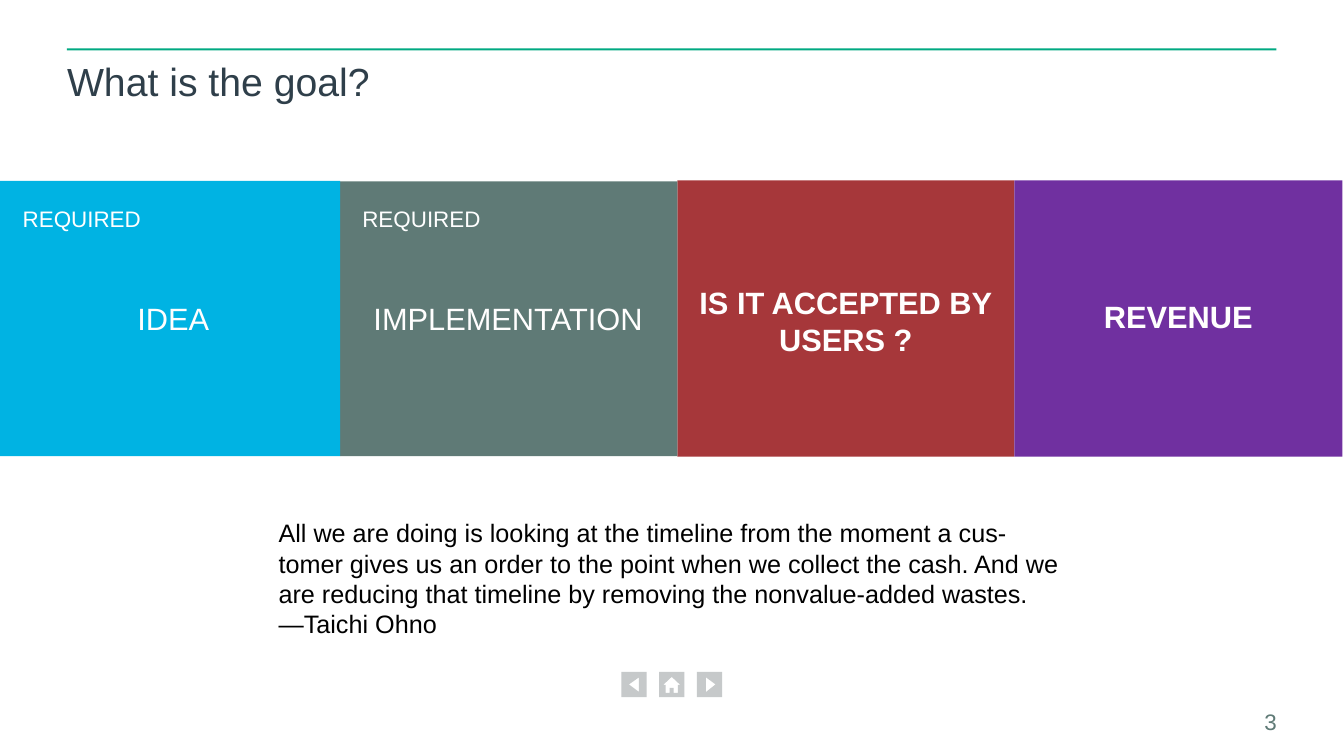
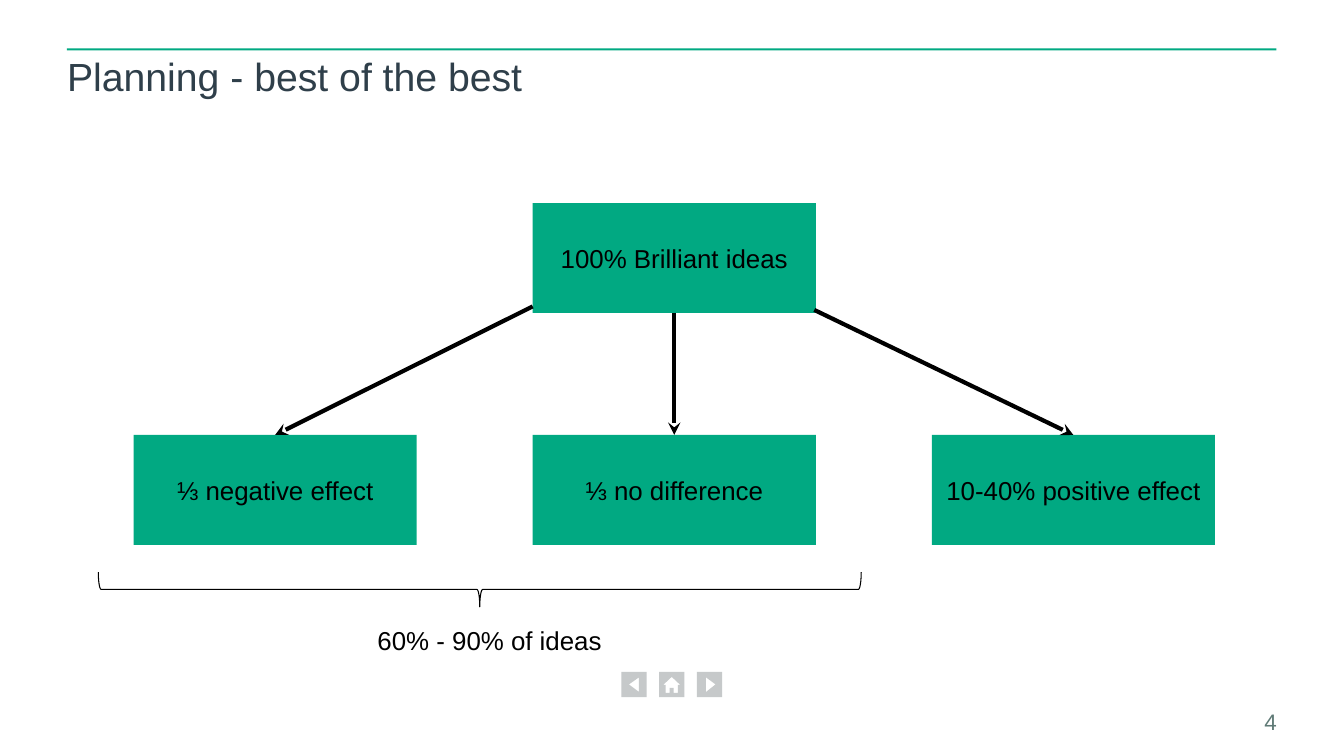
from dataclasses import dataclass

from lxml.etree import SubElement
from pptx import Presentation
from pptx.dml.color import RGBColor
from pptx.enum.shapes import MSO_CONNECTOR as CONN, MSO_SHAPE as SHAPE
from pptx.enum.text import MSO_ANCHOR as ANCHOR, MSO_AUTO_SIZE as AUTO, PP_ALIGN as ALIGN
from pptx.oxml.ns import qn
from pptx.util import Inches, Pt


@dataclass(frozen=True)
class Theme:
    font: str = "Arial"
    green: str = "01A982"
    slate: str = "2F3F4A"
    grey_green: str = "5F7A76"
    nav_grey: str = "C6C9CA"
    cyan: str = "00B3E3"
    red: str = "A6373A"
    purple: str = "7030A0"
    off_white: str = "FFFEFE"
    white: str = "FFFFFF"
    black: str = "000000"
    title: int = 56
    band: int = 44
    node: int = 37
    quote: int = 36
    small: int = 32


NAV_TOP, NAV_SIZE, NAV_STEP, NAV_LEFT = 13.33, 0.5, 0.75, 12.33
# Glyph outlines, relative to the top left corner of each button
NAV_GLYPHS = (
    [(0.35, 0.11), (0.15, 0.25), (0.35, 0.4)],
    [(0.25, 0.1), (0.08, 0.26), (0.13, 0.26), (0.13, 0.42), (0.21, 0.42), (0.21, 0.32),
     (0.29, 0.32), (0.29, 0.42), (0.37, 0.42), (0.37, 0.26), (0.42, 0.26)],
    [(0.18, 0.11), (0.18, 0.4), (0.37, 0.25)],
)


class Deck:
    def __init__(self, prs, theme):
        self.prs, self.theme, self.slide = prs, theme, None

    def new_slide(self, title, number, spacing=None):
        t = self.theme
        self.slide = self.prs.slides.add_slide(self.prs.slide_layouts[5])
        self.rect(1.33, 0.96, 24, 0.04, t.green)
        for i, glyph in enumerate(NAV_GLYPHS):
            self.nav_button(NAV_LEFT + i * NAV_STEP, glyph)
        sp = self.slide.shapes.title
        sp.left, sp.top, sp.width, sp.height = map(Inches, (1.33, 1.14, 23.99, 1.86))
        self.set_text(sp, title, t.title, t.slate)
        sp.text_frame.paragraphs[0].line_spacing = spacing
        self.text(24.17, 14.07, 1.17, 0.51, str(number), t.small, t.grey_green,
                  align=ALIGN.RIGHT, anchor=ANCHOR.BOTTOM)

    def set_text(self, sp, text, size, color, bold=False, align=ALIGN.LEFT,
                 anchor=ANCHOR.TOP, inset=0):
        tf = sp.text_frame
        tf.text = text
        tf.word_wrap, tf.auto_size, tf.vertical_anchor = True, AUTO.NONE, anchor
        tf.margin_left = tf.margin_right = tf.margin_top = tf.margin_bottom = Inches(inset)
        for p in tf.paragraphs:
            p.alignment = align
            for r in p.runs:
                r.font.name, r.font.size, r.font.bold = self.theme.font, Pt(size), bold
                r.font.color.rgb = RGBColor.from_string(color)

    def text(self, x, y, w, h, text, size, color, **style):
        sp = self.slide.shapes.add_textbox(*map(Inches, (x, y, w, h)))
        self.set_text(sp, text, size, color, **style)

    def paint(self, sp, fill):
        sp.shadow.inherit = False
        sp.fill.solid()
        sp.fill.fore_color.rgb = RGBColor.from_string(fill)
        sp.line.fill.background()

    def rect(self, x, y, w, h, fill):
        sp = self.slide.shapes.add_shape(SHAPE.RECTANGLE, *map(Inches, (x, y, w, h)))
        self.paint(sp, fill)
        return sp

    def nav_button(self, left, glyph):
        """Draw a square with the glyph cut out of it."""
        s = NAV_SIZE
        square = [(0, 0), (s, 0), (s, s), (0, s)]
        cutout, outline = [[(Inches(left + dx), Inches(NAV_TOP + dy)) for dx, dy in points]
                           for points in (glyph, square)]
        fb = self.slide.shapes.build_freeform(*cutout[0])
        fb.add_line_segments(cutout[1:])
        fb.move_to(*outline[0])
        fb.add_line_segments(outline[1:])
        self.paint(fb.convert_to_shape(), self.theme.nav_grey)

    def node(self, x, y, w, h, text):
        t = self.theme
        self.set_text(self.rect(x, y, w, h, t.green), text, t.node, t.black,
                      align=ALIGN.CENTER, anchor=ANCHOR.MIDDLE, inset=0.27)

    def arrow(self, x1, y1, x2, y2):
        cx = self.slide.shapes.add_connector(CONN.STRAIGHT, *map(Inches, (x1, y1, x2, y2)))
        cx.line.color.rgb = RGBColor.from_string(self.theme.black)
        cx.line.width = Pt(6)
        props = cx.element.spPr
        SubElement(props.find(qn("a:ln")), qn("a:tailEnd"), type="stealth")
        SubElement(props, qn("a:effectLst"))

    def brace_below(self, x, y, w, h):
        """Draw a brace that opens upwards and spans the given area."""
        box = (x + (w - h) / 2, y + (h - w) / 2, h, w)
        sp = self.slide.shapes.add_shape(SHAPE.RIGHT_BRACE, *map(Inches, box))
        sp.rotation = 90
        sp.adjustments[0], sp.adjustments[1] = 0.083, 0.5
        sp.shadow.inherit = False
        sp.fill.background()
        sp.line.color.rgb = RGBColor.from_string(self.theme.black)
        sp.line.width = Pt(1.5)


def goal_slide(deck):
    t = deck.theme
    deck.new_slide("What is the goal?", 3)
    for x, y, w, h, fill in (
        (13.44, 3.58, 6.69, 5.48, t.red),
        (20.13, 3.58, 6.51, 5.48, t.purple),
        (6.75, 3.6, 6.69, 5.45, t.grey_green),
        (0, 3.59, 6.75, 5.46, t.cyan),
    ):
        deck.rect(x, y, w, h, fill)
    for x, y, w, h, label, bold in (
        (20.13, 4.01, 6.51, 4.53, "REVENUE", True),
        (13.44, 4.33, 6.69, 4.05, "IS IT ACCEPTED BY USERS ?", True),
        (0.28, 3.58, 6.15, 5.48, " IDEA", False),
        (7.05, 5.85, 6.07, 0.94, "IMPLEMENTATION", False),
    ):
        deck.text(x, y, w, h, label, t.band, t.off_white, bold=bold,
                  align=ALIGN.CENTER, anchor=ANCHOR.MIDDLE)
    for x, w in ((7.19, 2.44), (0.45, 2.93)):
        deck.text(x, 4.01, w, 0.67, "REQUIRED", t.small, t.white, anchor=ANCHOR.MIDDLE)
    quote = (
        "All we are doing is looking at the timeline from the moment a cus‐",
        "tomer gives us an order to the point when we collect the cash. And we",
        "are reducing that timeline by removing the nonvalue-added wastes.",
        "—Taichi Ohno",
    )
    deck.text(5.43, 9.96, 18.52, 3.02, "\n".join(quote), t.quote, t.black,
              anchor=ANCHOR.MIDDLE, inset=0.1)


def planning_slide(deck):
    t = deck.theme
    deck.new_slide("Planning - best of the best", 4, spacing=0.9)
    w, h, left, step, top, outcome_top = 5.62, 2.18, 2.65, 7.92, 4.03, 8.63
    deck.node(left + step, top, w, h, "100% Brilliant ideas")
    outcomes = ("⅓ negative effect", "⅓ no difference", "10-40% positive effect")
    starts = ((10.57, 6.08), (13.38, 6.21), (16.16, 6.15))
    for i, label in enumerate(outcomes):
        deck.node(left + i * step, outcome_top, w, h, label)
    for i, start in enumerate(starts):
        deck.arrow(*start, left + i * step + w / 2, outcome_top)
    deck.brace_below(1.95, 11.35, 15.14, 0.69)
    deck.text(7.22, 12.13, 5.06, 1, "60% - 90% of ideas", t.node, t.black, inset=0.27)


def main():
    prs = Presentation()
    prs.slide_width, prs.slide_height = Inches(26.67), Inches(15)
    deck = Deck(prs, Theme())
    goal_slide(deck)
    planning_slide(deck)
    prs.save("out.pptx")


if __name__ == "__main__":
    main()
